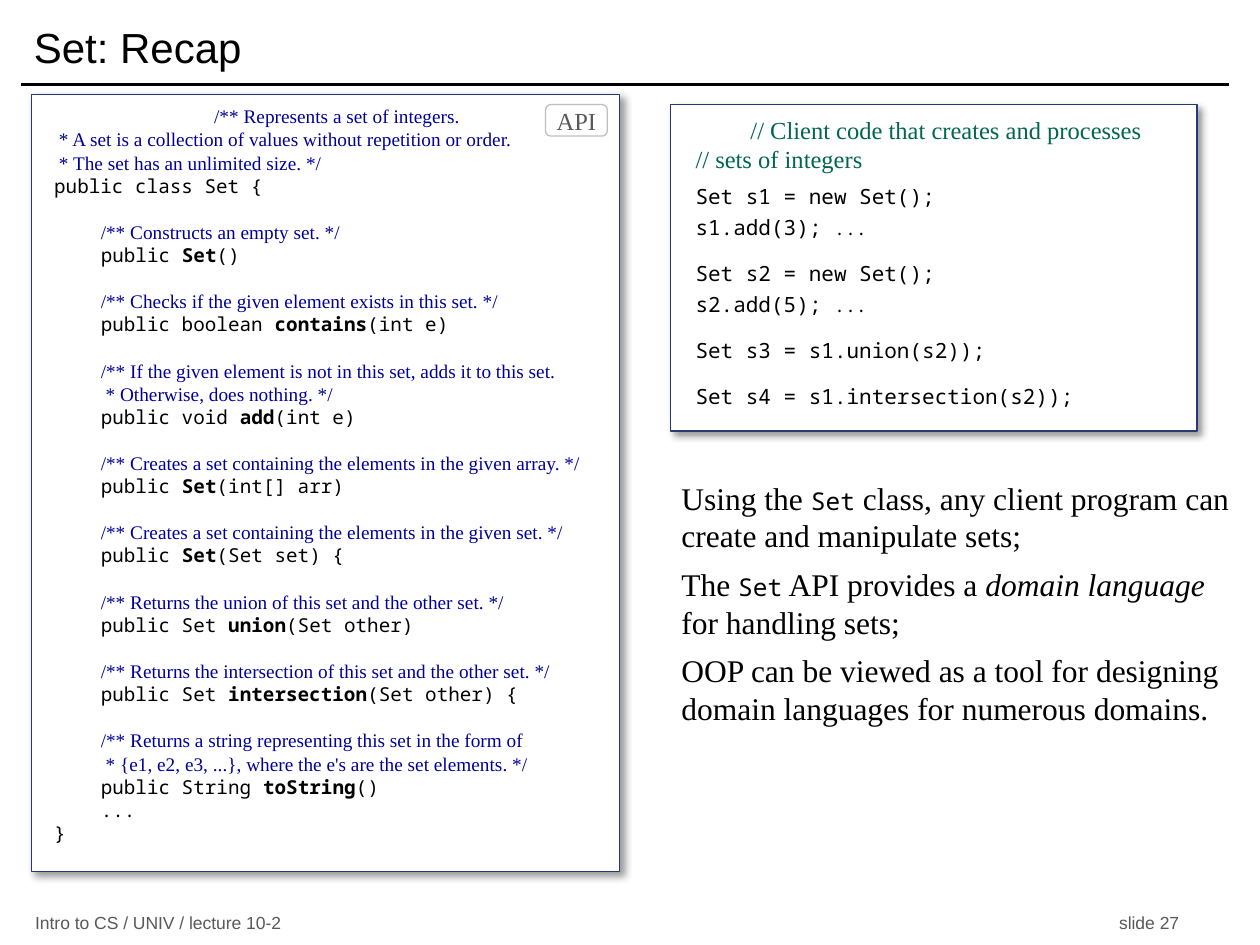
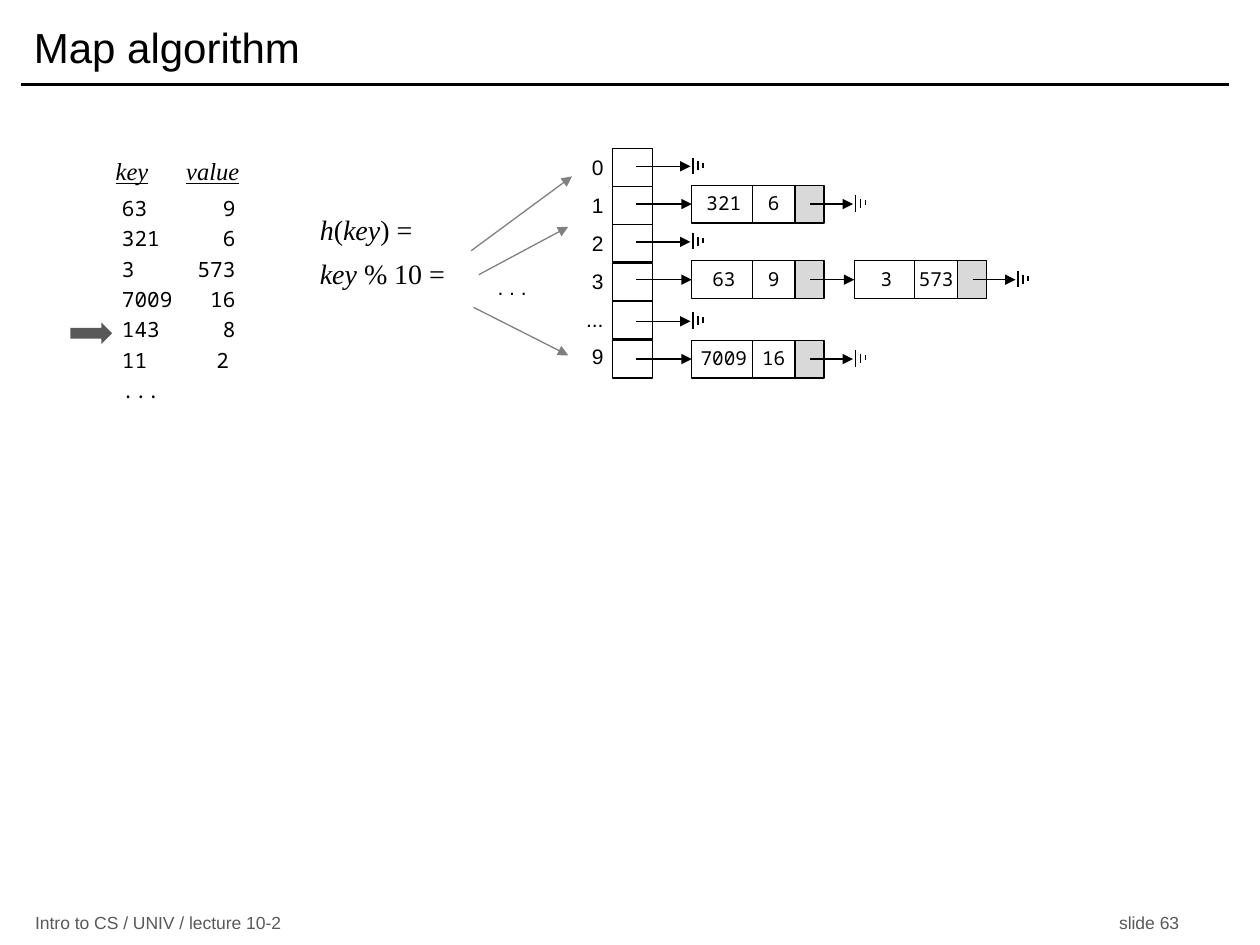
"""Builds two lecture slides: the Set class recap and the Map algorithm."""
from dataclasses import dataclass

from lxml import etree
from pptx import Presentation
from pptx import util as u
from pptx.dml import color
from pptx.enum import shapes, text
from pptx.oxml import ns

PX = 9144
BLACK, WHITE, NAVY, GRAY = "000000", "FFFFFF", "293973", "595959"
SANS, MONO, SERIF = "Arial", "Noto Sans Mono", "Times New Roman"
LINE_FACTOR = 1.2
TOP, MIDDLE = text.MSO_ANCHOR.TOP, text.MSO_ANCHOR.MIDDLE
CENTER, RIGHT = text.PP_ALIGN.CENTER, text.PP_ALIGN.RIGHT
RECT = shapes.MSO_SHAPE.RECTANGLE


def px(length):
    """Turn px into EMU."""
    return u.Emu(length * PX)


def rgb(code):
    """Turn a hex string into a colour."""
    return color.RGBColor.from_string(code)


def add_xml(parent, tag, **attributes):
    """Append a drawing element with the given attributes."""
    return etree.SubElement(parent, ns.qn(tag), {k: str(v) for k, v in attributes.items()})


@dataclass
class Span:
    """Hold a piece of text and its look."""
    words: str
    font: str = SERIF
    size: float = 18
    ink: str = BLACK
    bold: bool = False
    italic: bool = False
    underline: bool = False


class Board:
    """Hold the lecture style and the slide being drawn."""

    def __init__(self):
        """Open a deck of 10 by 7.5 inch slides."""
        self.deck = Presentation()
        self.deck.slide_width, self.deck.slide_height = px(1000), px(750)
        self.page = None

    def start(self, title, number):
        """Add a page with its title, rule and footer."""
        self.page = self.deck.slides.add_slide(self.deck.slide_layouts[6])
        self.line((17, 67), (975, 67), width=2)
        footer = self.label(18, 723, 942, 19, anchor=MIDDLE)
        self.para(footer, [Span(f"Intro to CS / UNIV / lecture 10-2\tslide {number}", SANS, 10, GRAY)],
                  tab=(908, "r"))
        self.para(self.label(17, 8, 958, 58, anchor=MIDDLE), [Span(title, SANS, 24)])

    def frame(self, shape, insets, anchor):
        """Set up the text frame of a shape."""
        frame = shape.text_frame
        frame.word_wrap = True
        frame.vertical_anchor = anchor
        (frame.margin_left, frame.margin_top,
         frame.margin_right, frame.margin_bottom) = map(px, insets)
        return frame

    def label(self, x, y, w, h, insets=(10, 5, 10, 5), anchor=TOP):
        """Add a text box and return its frame."""
        box = self.page.shapes.add_textbox(px(x), px(y), px(w), px(h))
        return self.frame(box, insets, anchor)

    def shape(self, x, y, w, h, kind=RECT, fill=None, line=BLACK, shadow=False):
        """Add a preset shape."""
        box = self.page.shapes.add_shape(kind, px(x), px(y), px(w), px(h))
        box.shadow.inherit = False
        if fill:
            box.fill.solid()
            box.fill.fore_color.rgb = rgb(fill)
        else:
            box.fill.background()
        if line:
            box.line.color.rgb = rgb(line)
            box.line.width = u.Pt(0.75)
        else:
            box.line.fill.background()
        if shadow:
            effects = box.element.spPr.find(ns.qn("a:effectLst"))
            outer = add_xml(effects, "a:outerShdw", blurRad=u.Pt(4), dist=u.Pt(3),
                            dir=45 * 60000, algn="tl", rotWithShape=0)
            add_xml(add_xml(outer, "a:srgbClr", val=BLACK), "a:alpha", val=40000)
        return box

    def line(self, start, end, ink=BLACK, width=0.75, arrow=False, target=None):
        """Add a straight line, joined to the target's left side if given."""
        link = self.page.shapes.add_connector(
            shapes.MSO_CONNECTOR.STRAIGHT, *map(px, start + end))
        link.line.color.rgb = rgb(ink)
        link.line.width = u.Pt(width)
        if arrow:
            add_xml(link.element.spPr.find(ns.qn("a:ln")), "a:tailEnd", type="triangle")
        add_xml(link.element.spPr, "a:effectLst")
        if target is not None:
            link.end_connect(target, 1)

    def para(self, frame, spans, before=0, indent=0, align=None, tab=None):
        """Add one paragraph run by run."""
        para = frame.paragraphs[0]
        if para.runs:
            para = frame.add_paragraph()
        para.line_spacing = u.Pt(max(span.size for span in spans) * LINE_FACTOR)
        para.space_before = u.Pt(before)
        if align is not None:
            para.alignment = align
        props = para._p.get_or_add_pPr()
        props.set("marL", str(px(indent)))
        if tab:
            add_xml(add_xml(props, "a:tabLst"), "a:tab", pos=px(tab[0]), algn=tab[1])
        for span in spans:
            run = para.add_run()
            run.text = span.words
            font = run.font
            font.name, font.size = span.font, u.Pt(span.size)
            font.bold, font.italic, font.underline = span.bold, span.italic, span.underline
            font.color.rgb = rgb(span.ink)

    def cell(self, x, y, w, words, fill=None):
        """Add a bordered cell with a centred value."""
        box = self.shape(x, y, w, 30, fill=fill)
        self.para(self.frame(box, (0, 5, 0, 5), TOP), [Span(words, MONO, 11)], align=CENTER)
        return box

    def ground(self, x, y):
        """Draw the end-of-list sign centred on y."""
        for step, (up, down) in enumerate([(7, 6), (4, 3), (3, 1)]):
            self.line((x + 4 * step, y - up), (x + 4 * step, y + down))

    def chain(self, start, y, entries):
        """Draw a linked list of key and value nodes reached from start."""
        for column, (key, value) in enumerate(entries):
            x = 549 + 129 * column
            node = self.cell(x, y - 15, 51, key)
            self.shape(x + 82, y - 15, 23, 30, fill="D9D9D9")
            self.cell(x + 48, y - 15, 34, value, fill=WHITE)
            self.line((start, y), (x, y), arrow=True, target=node)
            start = x + 94
        end = start + 34 if entries else 548
        self.line((start, y), (end, y), arrow=True)
        self.ground(end + 2, y)


API = [
    (["/** Constructs an empty set. */"], "public ", "Set", "()"),
    (["/** Checks if the given element exists in this set. */"],
     "public boolean ", "contains", "(int e)"),
    (["/** If the given element is not in this set, adds it to this set.",
      " * Otherwise, does nothing. */"], "public void ", "add", "(int e)"),
    (["/** Creates a set containing the elements in the given array. */"],
     "public ", "Set", "(int[] arr)"),
    (["/** Creates a set containing the elements in the given set. */"],
     "public ", "Set", "(Set set) {"),
    (["/** Returns the union of this set and the other set. */"],
     "public Set ", "union", "(Set other)"),
    (["/** Returns the intersection of this set and the other set. */"],
     "public Set ", "intersection", "(Set other) {"),
    (["/** Returns a string representing this set in the form of",
      " * {e1, e2, e3, ...}, where the e's are the set elements. */"],
     "public String ", "toString", "()"),
]


def draw_api(board):
    """Draw the Set class API panel."""
    def doc(words):
        return Span(words, SERIF, 11, "000099")

    def code(words, bold=False):
        return Span(words, MONO, 11, bold=bold)

    panel = board.shape(25, 75, 467, 617, fill=WHITE, line=NAVY, shadow=True)
    frame = board.frame(panel, (18, 8, 0, 0), TOP)
    for words in ("/** Represents a set of integers.",
                  " * A set is a collection of values without repetition or order.",
                  " * The set has an unlimited size. */"):
        board.para(frame, [doc(words)])
    board.para(frame, [code("public class Set {")])
    for comments, prefix, name, suffix in API:
        for row, words in enumerate(comments):
            board.para(frame, [doc(words)], before=0 if row else 11 * LINE_FACTOR, indent=37)
        board.para(frame, [code(prefix), code(name, True), code(suffix)], indent=37)
    board.para(frame, [code("...")], indent=37)
    board.para(frame, [code("}")])
    badge = board.shape(433, 83, 49, 25, shapes.MSO_SHAPE.ROUNDED_RECTANGLE, WHITE, "BFBFBF")
    board.para(board.frame(badge, (0, 5, 0, 5), MIDDLE), [Span("API", SERIF, 14, GRAY)],
               align=CENTER)


def draw_client(board):
    """Draw the client code panel."""
    panel = board.shape(532, 83, 418, 259, fill=WHITE, line=NAVY, shadow=True)
    frame = board.frame(panel, (20, 8, 0, 0), TOP)
    for words in ("// Client code that creates and processes", "// sets of integers"):
        board.para(frame, [Span(words, SERIF, 14, "00664D")])
    for before, words, dots in [
            (6, "Set s1 = new Set();", ""), (3, "s1.add(3); ", "..."),
            (12, "Set s2 = new Set();", ""), (3, "s2.add(5); ", "..."),
            (12, "Set s3 = s1.union(s2));", ""), (12, "Set s4 = s1.intersection(s2));", "")]:
        spans = [Span(words, MONO, 12)]
        if dots:
            spans.append(Span(dots, MONO, 10.5))
        board.para(frame, spans, before)


def draw_recap(board):
    """Draw the Set recap slide."""
    board.start("Set: Recap", 27)
    draw_api(board)
    draw_client(board)
    set_name = Span("Set", MONO, 14)
    notes = board.label(525, 375, 467, 250)
    for row, spans in enumerate([
            [Span("Using the "), set_name,
             Span(" class, any client program can create and manipulate sets;")],
            [Span("The "), set_name, Span(" API provides a "),
             Span("domain language", italic=True), Span(" for handling sets;")],
            [Span("OOP can be viewed as a tool for designing domain languages "
                  "for numerous domains.")]]):
        board.para(notes, spans, before=6 if row else 0, indent=6)


def draw_entries(board):
    """Draw the list of keys and values with its marker."""
    board.shape(56, 256, 33, 17, shapes.MSO_SHAPE.RIGHT_ARROW, GRAY, None)
    key, value = (Span(word, SERIF, 14, italic=True, underline=True) for word in ("key", "value"))
    board.para(board.label(82, 119, 317, 33), [key, Span("\t", SERIF, 14), value], tab=(56, "l"))
    entries = board.label(87, 150, 263, 244)
    for row, (words, stop) in enumerate([
            ("63\t9", 90), ("321\t6", 90), ("3\t573", 90), ("7009\t16", 90),
            ("143\t8", 90), ("11\t2", 85), ("...", 90)]):
        board.para(entries, [Span(words, MONO, 12)], before=3 if row else 0, tab=(stop, "r"))


def draw_hash(board):
    """Draw the hash formula and its arrows to the buckets."""
    formula = board.label(244, 164, 125, 72)
    key = Span("key", SERIF, 16, italic=True)
    board.para(formula, [Span("h", SERIF, 16, italic=True), Span("(", SERIF, 16), key,
                         Span(") =", SERIF, 16)])
    board.para(formula, [key, Span(" % 10 =", SERIF, 16)], before=6)
    for start, end in [((374, 199), (454, 140)), ((380, 218), (451, 180)),
                       ((376, 244), (451, 282))]:
        board.line(start, end, "808080", arrow=True)
    board.para(board.label(376, 213, 50, 30, (0, 5, 8, 5)), [Span(". . .", SANS, 12)],
               align=RIGHT)


def draw_map(board):
    """Draw the Map algorithm slide."""
    board.start("Map algorithm", 63)
    draw_entries(board)
    draw_hash(board)
    buckets = [("0", 132, []), ("1", 162, [("321", "6")]), ("2", 192, []),
               ("3", 222, [("63", "9"), ("3", "573")]), ("...", 255, []),
               ("9", 285, [("7009", "16")])]
    for row, (name, y, entries) in enumerate(buckets):
        board.shape(486, 118 + 304 * row // 10, 32, 30)
        board.para(board.label(437, 118 + 30 * row, 50, 30, (0, 5, 8, 5)),
                   [Span(name, SANS, 12)], align=RIGHT)
        board.chain(505, y, entries)


def main():
    """Build and save the deck."""
    board = Board()
    draw_recap(board)
    draw_map(board)
    board.deck.save("out.pptx")


if __name__ == "__main__":
    main()
